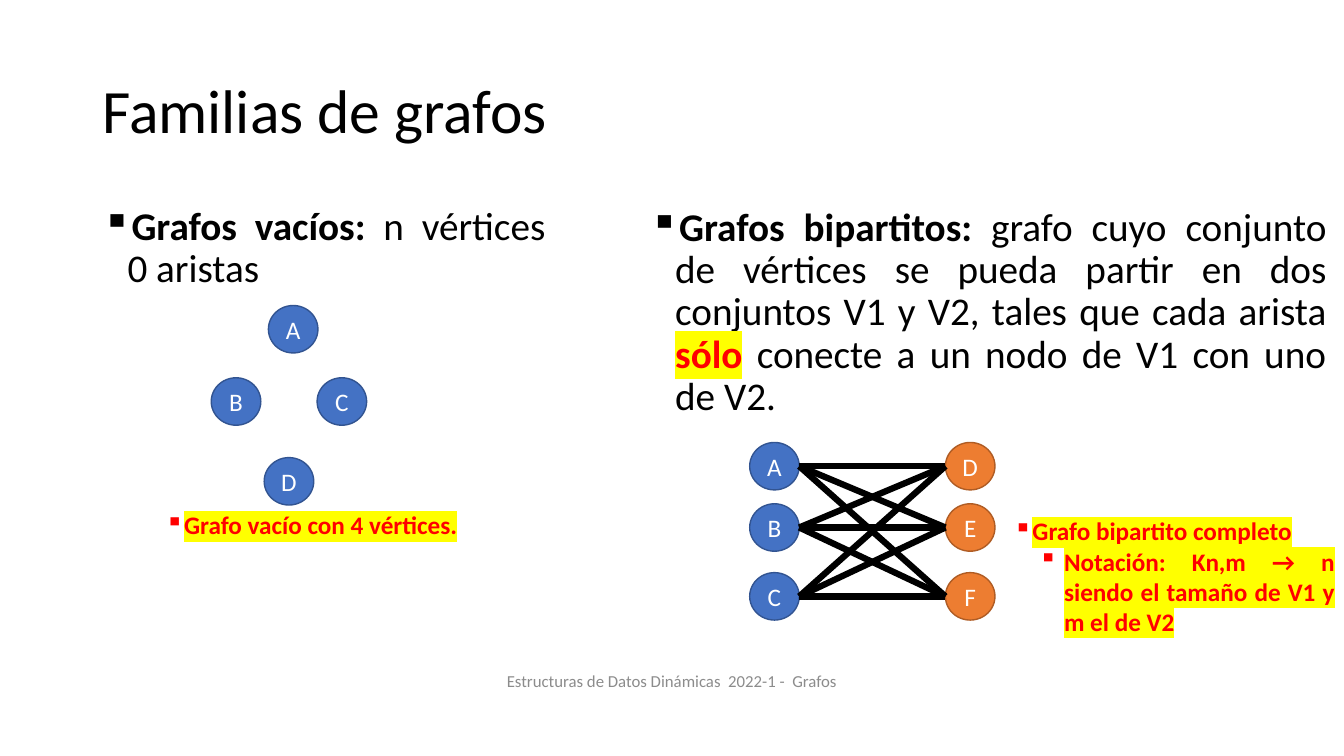
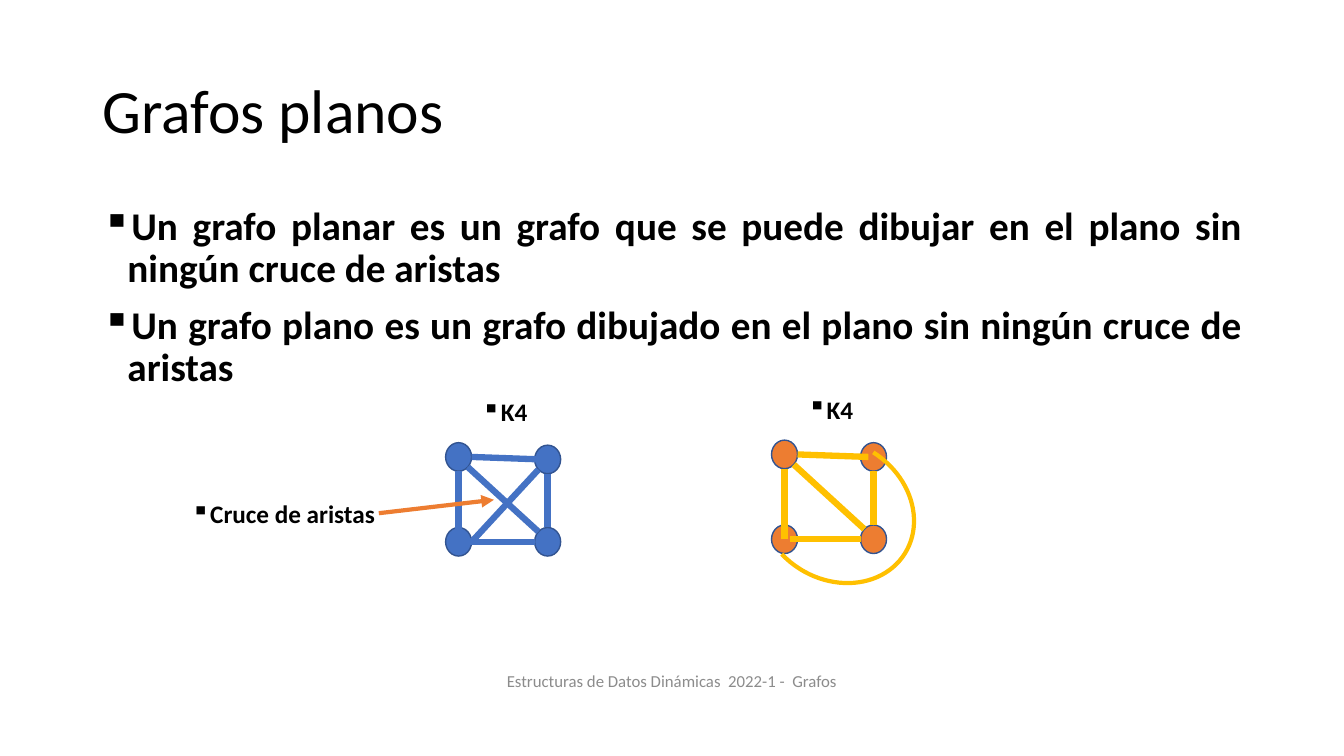
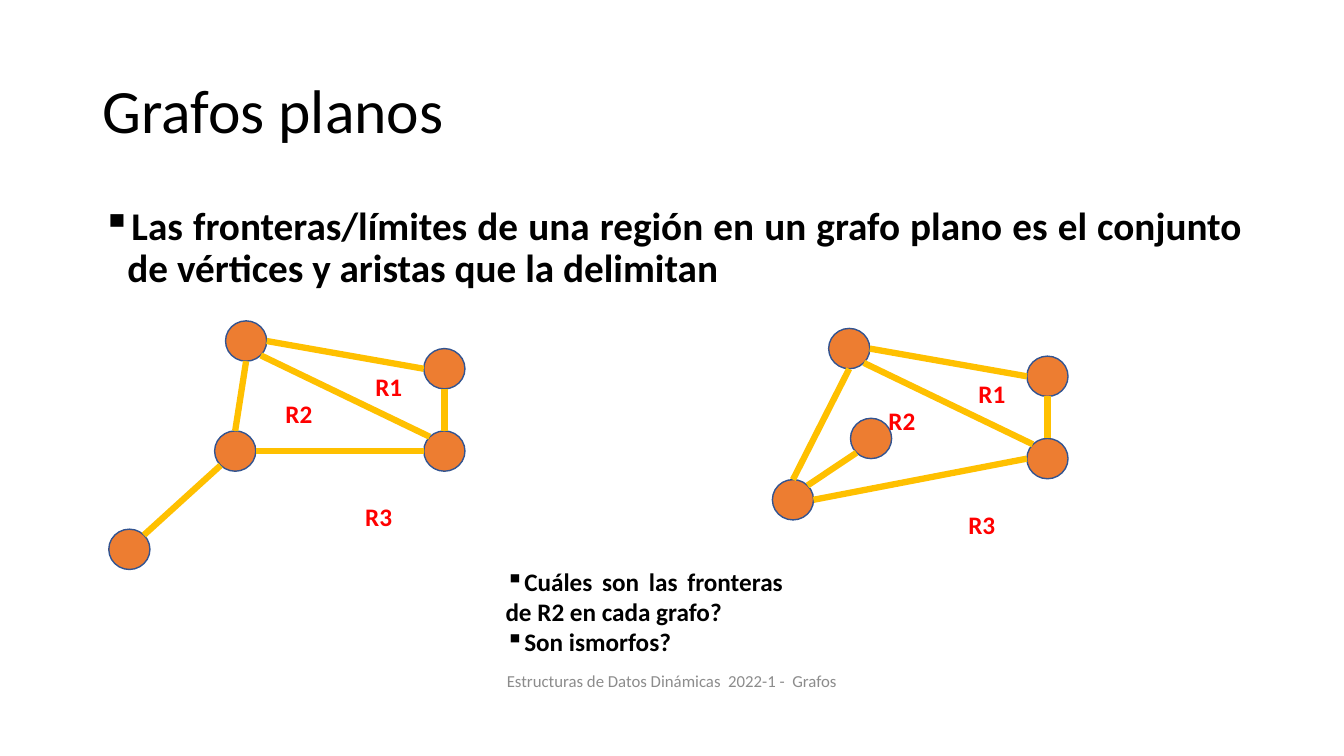
from dataclasses import dataclass
from itertools import product

from pptx import Presentation
from pptx.dml.color import RGBColor
from pptx.enum.shapes import MSO_CONNECTOR, MSO_SHAPE
from pptx.enum.text import MSO_ANCHOR, MSO_AUTO_SIZE, PP_ALIGN
from pptx.oxml.ns import qn
from pptx.util import Inches, Pt
from lxml.etree import SubElement

COLUMNS, ROWS = 160, 90
CELL = Inches(1) / 12


@dataclass(frozen=True)
class Theme:
    """Colours, font and type sizes of the presentation."""
    font: str = "Calibri"
    black: str = "000000"
    white: str = "FFFFFF"
    gray: str = "8C8C8C"
    blue: str = "4472C4"
    blue_outline: str = "325491"
    orange: str = "ED7D31"
    orange_outline: str = "AF5C24"
    gold: str = "FFC000"
    red: str = "FF0000"
    yellow: str = "FFFF00"
    title_size: int = 44
    body_size: int = 28
    note_size: int = 18
    footer_size: int = 12
    edge_width: float = 4.5
    thin_edge_width: float = 3


@dataclass(frozen=True)
class Box:
    """A rectangle measured in grid columns and rows."""
    left: float
    top: float
    width: float
    height: float

    def inside(self, left, top, width, height):
        """Return a box placed relative to this one."""
        return Box(self.left + left, self.top + top, width, height)

    def lengths(self):
        """Return left, top, width and height in drawing units."""
        return [round(value * CELL) for value in (self.left, self.top, self.width, self.height)]


THEME = Theme()
TITLE = Box(11, 4.8, 138, 17.4)
BODY = Box(11, 24, 138, 57.1)
FOOTER = Box(53, 78.7, 54, 4.8)
FOOTER_TEXT = "Estructuras de Datos Dinámicas  2022-1 -  Grafos"
BULLET = "▪"
DIAGONAL = 0.71
PORTS = {
    "n": (0, -1), "s": (0, 1), "e": (1, 0), "w": (-1, 0),
    "nw": (-DIAGONAL, -DIAGONAL), "ne": (DIAGONAL, -DIAGONAL),
    "sw": (-DIAGONAL, DIAGONAL), "se": (DIAGONAL, DIAGONAL),
    "center": (0, 0), "inner_w": (-0.4, 0), "inner_e": (0.4, 0),
}
EMPHASIS = {"bold": True, "color": THEME.red, "highlight": THEME.yellow}


def color(value):
    """Turn a hexadecimal text into a colour."""
    return RGBColor.from_string(value)


def add_run(paragraph, text, size, tone=THEME.black, bold=False, highlight=None):
    """Add one formatted run to a paragraph."""
    run = paragraph.add_run()
    run.text = text
    font = run.font
    font.name, font.size, font.bold = THEME.font, Pt(size), bold
    font.color.rgb = color(tone)
    if highlight:
        properties = run._r.get_or_add_rPr()
        mark = SubElement(properties, qn("a:highlight"))
        SubElement(mark, qn("a:srgbClr"), val=highlight)
        properties.find(qn("a:solidFill")).addnext(mark)


def write(frame, text, size=THEME.note_size, align=PP_ALIGN.JUSTIFY, bullet=False,
          margin=0, hanging=0, spacing=1, before=0, **run_format):
    """Write a paragraph, given as a text or as pairs of text and run format."""
    first = frame.paragraphs[0]
    paragraph = frame.add_paragraph() if first.runs else first
    paragraph.alignment = align
    paragraph.line_spacing = spacing
    paragraph.space_before = Pt(before)
    properties = paragraph._p.get_or_add_pPr()
    properties.set("marL", str(Inches(margin)))
    properties.set("indent", str(-Inches(hanging)))
    if bullet:
        SubElement(properties, qn("a:buChar"), char=BULLET)
    runs = [(text, {})] if isinstance(text, str) else text
    for words, changes in runs:
        settings = {**run_format, **changes}
        tone = settings.pop("color", THEME.black)
        add_run(paragraph, words, size, tone, **settings)


def add_text_frame(slide, box, anchor=MSO_ANCHOR.TOP):
    """Add a wrapping text box and return its frame."""
    frame = slide.shapes.add_textbox(*box.lengths()).text_frame
    frame.word_wrap = True
    frame.vertical_anchor = anchor
    return frame


def add_body(slide, box, paragraphs, **run_format):
    """Add the large bulleted text of a slide."""
    frame = add_text_frame(slide, box)
    for text in paragraphs:
        write(frame, text, size=THEME.body_size, bullet=True, margin=0.25, hanging=0.25,
              spacing=0.9, before=10, **run_format)


def add_note(slide, box, *texts, bullet=True, **run_format):
    """Add a small bold text next to a graph and return its frame."""
    frame = add_text_frame(slide, box)
    for text in texts:
        write(frame, text, bullet=bullet, **{"bold": True, **run_format})
    return frame


def add_titled_slide(presentation, title):
    """Add a slide with its title and footer."""
    slide = presentation.slides.add_slide(presentation.slide_layouts[5])
    shape = slide.shapes.title
    shape.left, shape.top, shape.width, shape.height = TITLE.lengths()
    frame = shape.text_frame
    frame.auto_size = MSO_AUTO_SIZE.NONE
    frame.vertical_anchor = MSO_ANCHOR.MIDDLE
    write(frame, title, size=THEME.title_size, align=PP_ALIGN.LEFT, spacing=0.9)
    footer = add_text_frame(slide, FOOTER, MSO_ANCHOR.MIDDLE)
    write(footer, FOOTER_TEXT, size=THEME.footer_size, align=PP_ALIGN.CENTER, color=THEME.gray)
    return slide


def add_line(slide, start, end, tone, width=THEME.edge_width, arrow=False):
    """Draw a straight line between two grid points."""
    ends = [round(value * CELL) for value in (*start, *end)]
    connector = slide.shapes.add_connector(MSO_CONNECTOR.STRAIGHT, *ends)
    connector.line.color.rgb = color(tone)
    connector.line.width = Pt(width)
    if arrow:
        SubElement(connector.line._get_or_add_ln(), qn("a:tailEnd"), type="triangle")
    SubElement(connector._element.spPr, qn("a:effectLst"))


def add_vertex(slide, box, fill, outline, label=""):
    """Draw one round vertex."""
    shape = slide.shapes.add_shape(MSO_SHAPE.OVAL, *box.lengths())
    shape.shadow.inherit = False
    shape.fill.solid()
    shape.fill.fore_color.rgb = color(fill)
    shape.line.color.rgb = color(outline)
    shape.line.width = Pt(1)
    if label:
        frame = shape.text_frame
        frame.margin_left = frame.margin_right = frame.margin_top = frame.margin_bottom = 0
        frame.vertical_anchor = MSO_ANCHOR.MIDDLE
        write(frame, label, align=PP_ALIGN.CENTER, color=THEME.white)


def add_graph(slide, box, centers, edges=(), size=(5.9, 5.65), fill=THEME.blue,
              outline=THEME.blue_outline, edge_color=THEME.black, labeled=False, accents=()):
    """Draw vertices centred relative to the box, joined by edges between ports."""
    width, height = size
    for name, (column, row) in centers.items():
        vertex = box.inside(column - width / 2, row - height / 2, width, height)
        colors = (THEME.orange, THEME.orange_outline) if name in accents else (fill, outline)
        add_vertex(slide, vertex, *colors, label=name if labeled else "")

    def port(name, side):
        """Return the grid point of a port on a vertex."""
        column, row = centers[name]
        across, down = PORTS[side]
        return box.left + column + across * width / 2, box.top + row + down * height / 2

    for start, start_side, end, end_side in edges:
        add_line(slide, port(start, start_side), port(end, end_side), edge_color)


def add_bipartite_graph(slide, box):
    """Draw the complete bipartite graph on two columns of vertices."""
    heights = (0, 7.3, 15.5)
    centers = {name: (0, row) for name, row in zip("ABC", heights)}
    centers.update({name: (23.3, row) for name, row in zip("DEF", heights)})
    edges = [(left, "e", right, "w") for left, right in product("ABC", "DEF")]
    add_graph(slide, box, centers, edges, labeled=True, accents="DEF")


def add_complete_graph(slide, box, fill, edge_color, crossing):
    """Draw K4 with its label, with two crossing diagonals or an outer arc."""
    centers = {"A": (0, 0), "B": (10.6, 0.3), "C": (0, 10.1), "D": (10.6, 10.1)}
    edges = [("A", "e", "B", "inner_w"), ("C", "center", "A", "s"),
             ("C", "inner_e", "D", "w"), ("B", "s", "D", "n"), ("A", "se", "D", "nw")]
    if crossing:
        edges.append(("C", "e", "B", "sw"))
    add_graph(slide, box, centers, edges, size=(3.1, 3.4), fill=fill, edge_color=edge_color)
    if not crossing:
        arc = slide.shapes.add_shape(MSO_SHAPE.ARC, *box.inside(-3.4, -1.5, 19.2, 16.4).lengths())
        arc.shadow.inherit = False
        arc.fill.background()
        arc.adjustments[0], arc.adjustments[1] = 162, 65.64
        arc.rotation = 32.2
        arc.line.color.rgb = color(edge_color)
        arc.line.width = Pt(THEME.thin_edge_width)
    add_note(slide, box.inside(1.6, -7.8, 7.9, 4.8), "K4")


def add_region_graph(slide, box, corner, pendant, pendant_edge):
    """Draw a plane graph with its three named regions."""
    centers = {"A": (0, 0), "B": (23.6, 3.3), "C": corner, "D": (23.6, 13.1), "E": pendant}
    edges = [("A", "e", "B", "w"), ("C", "n", "A", "s"), ("C", "e", "D", "w"),
             ("B", "s", "D", "n"), ("A", "se", "D", "nw"), pendant_edge]
    add_graph(slide, box, centers, edges, size=(4.9, 4.8), fill=THEME.orange,
              edge_color=THEME.gold)
    for name, place in {"R1": (14.2, 3), "R2": (3.5, 6.2), "R3": (13, 18.5)}.items():
        add_note(slide, box.inside(*place, 6.5, 4.8), name, bullet=False, color=THEME.red)


def build_families(presentation):
    """Build the slide on empty and bipartite graphs."""
    slide = add_titled_slide(presentation, "Familias de grafos")
    add_body(slide, BODY.inside(0, 0, 55.1, BODY.height),
             [[("Grafos vacíos: ", {"bold": True}), ("n vértices 0 aristas", {})]])
    add_graph(slide, Box(28.1, 39.2, 12.6, 18.1),
              {"A": (6.8, 0), "B": (0, 8.6), "C": (12.6, 8.6), "D": (6.3, 18.1)}, labeled=True)
    add_note(slide, Box(18.5, 60.1, 40.6, 4.8), "Grafo vacío con 4 vértices.", **EMPHASIS)
    add_body(slide, BODY.inside(65.2, 0.1, 82.9, BODY.height), [[
        ("Grafos bipartitos: ", {"bold": True}),
        ("grafo cuyo conjunto de vértices se pueda partir en dos conjuntos V1 y V2, "
         "tales que cada arista ", {}),
        ("sólo", EMPHASIS),
        (" conecte a un nodo de V1 con uno de V2.", {}),
    ]])
    add_bipartite_graph(slide, Box(92.2, 55.5, 23.3, 15.5))
    frame = add_note(slide, Box(119.5, 60.8, 40.6, 15.7), "Grafo bipartito completo", **EMPHASIS)
    write(frame, "Notación: Kn,m → n siendo el tamaño de V1 y m el de V2",
          bullet=True, margin=0.5, hanging=0.25, **EMPHASIS)


def build_planar(presentation):
    """Build the slide on planar and plane graphs."""
    slide = add_titled_slide(presentation, "Grafos planos")
    add_body(slide, BODY, [
        "Un grafo planar es un grafo que se puede dibujar en el plano sin ningún cruce de aristas",
        "Un grafo plano es un grafo dibujado en el plano sin ningún cruce de aristas",
    ], bold=True)
    add_complete_graph(slide, Box(54.6, 54.4, 10.6, 10.1), THEME.blue, THEME.blue, True)
    add_complete_graph(slide, Box(93.4, 54.1, 10.6, 10.1), THEME.orange, THEME.gold, False)
    add_note(slide, Box(21.6, 58.7, 26.5, 4.8), "Cruce de aristas")
    add_line(slide, (45.1, 61.1), (58.8, 59.5), THEME.orange, THEME.thin_edge_width, arrow=True)


def build_regions(presentation):
    """Build the slide on the borders of regions."""
    slide = add_titled_slide(presentation, "Grafos planos")
    add_body(slide, BODY, [
        "Las fronteras/límites de una región en un grafo plano es el conjunto "
        "de vértices y aristas que la delimitan",
    ], bold=True)
    add_region_graph(slide, Box(29.3, 40.6, 23.6, 24.8), (-1.3, 13.1), (-13.9, 24.8),
                     ("E", "ne", "C", "sw"))
    add_region_graph(slide, Box(101.1, 41.5, 23.6, 24.8), (-6.7, 18), (2.6, 10.7),
                     ("E", "sw", "C", "ne"))
    add_note(slide, Box(59, 66.8, 35.4, 12.1),
             "Cuáles son las fronteras de R2 en cada grafo?", "Son ismorfos?")


def main():
    """Build and save the presentation."""
    presentation = Presentation()
    presentation.slide_width = round(COLUMNS * CELL)
    presentation.slide_height = round(ROWS * CELL)
    for build in (build_families, build_planar, build_regions):
        build(presentation)
    presentation.save("out.pptx")


if __name__ == "__main__":
    main()
